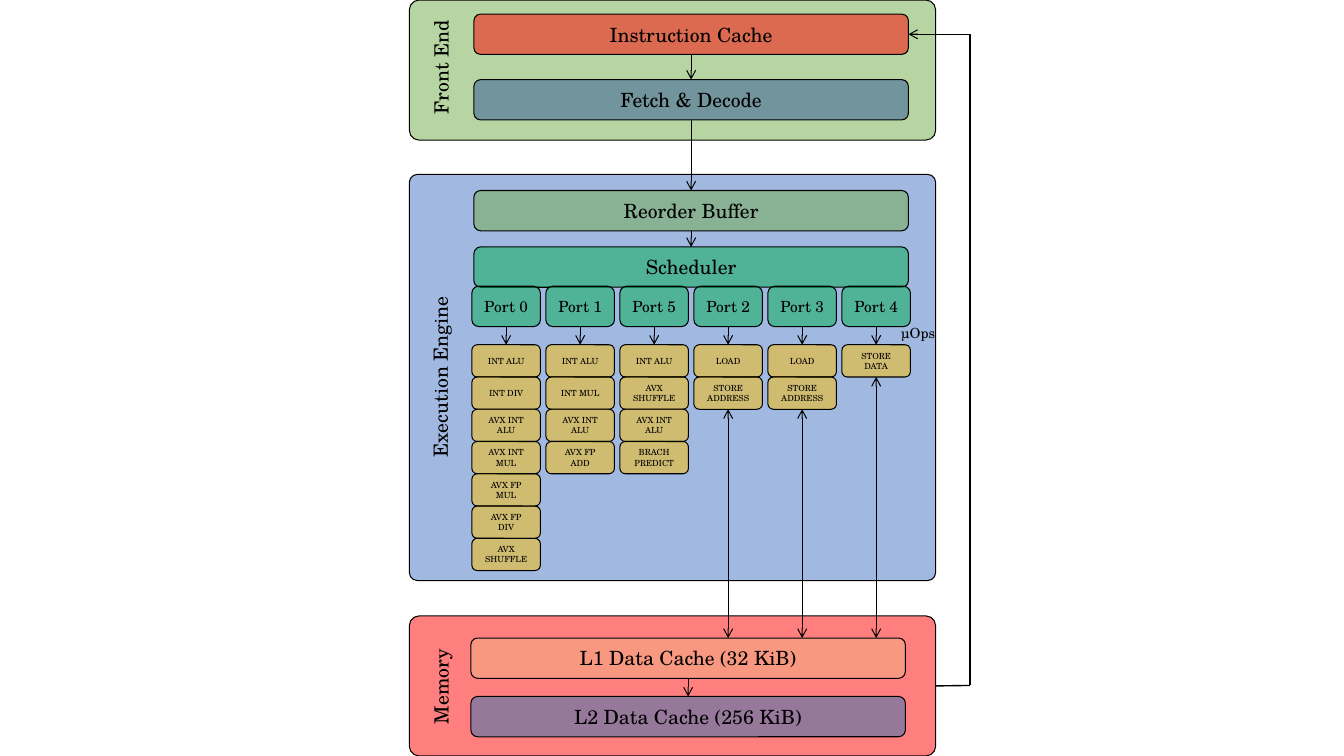
from dataclasses import dataclass

from pptx import Presentation
from pptx import util as u
from pptx.dml.color import RGBColor
from pptx.enum import shapes, text
from pptx.oxml import ns, xmlchemy


@dataclass(frozen=True)
class Theme:
    """Hold the colours, font and type sizes of the slide."""
    font: str = "TeX Gyre Schola"
    ink: str = "000000"
    green: str = "70AD47"
    blue: str = "4472C4"
    red: str = "FF0000"
    navy: str = "2F5597"
    jade: str = "00B050"
    gold: str = "FFC000"
    sand: str = "D0BB70"
    peach: str = "F4B183"
    steel: str = "2E75B6"
    big: float = 14
    port: float = 11
    note: float = 10
    unit: float = 6
    thin: float = 0.75
    bold: float = 1


THEME = Theme()
PORTS = {
    "Port 0": ["INT ALU", "INT DIV", "AVX INT ALU", "AVX INT MUL",
               "AVX FP MUL", "AVX FP DIV", "AVX SHUFFLE"],
    "Port 1": ["INT ALU", "INT MUL", "AVX INT ALU", "AVX FP ADD"],
    "Port 5": ["INT ALU", "AVX SHUFFLE", "AVX INT ALU", "BRACH PREDICT"],
    "Port 2": ["LOAD", "STORE ADDRESS"],
    "Port 3": ["LOAD", "STORE ADDRESS"],
    "Port 4": ["STORE DATA"],
}
MEMORY_PORTS = ("Port 2", "Port 3", "Port 4")


def write(shape, words, size, align=text.PP_ALIGN.CENTER):
    """Set and format the text of a shape."""
    frame = shape.text_frame
    frame.word_wrap = True
    frame.text = words
    line = frame.paragraphs[0]
    line.alignment = align
    font = line.runs[0].font
    font.name, font.size = THEME.font, u.Pt(size)
    font.color.rgb = RGBColor.from_string(THEME.ink)


def add_box(slide, place, color, words="", size=THEME.big, corner=None, alpha=50):
    """Add an outlined rounded box with a see-through fill."""
    box = slide.shapes.add_shape(shapes.MSO_SHAPE.ROUNDED_RECTANGLE, *map(u.Inches, place))
    box.shadow.inherit = False
    if corner is not None:
        box.adjustments[0] = corner
    box.fill.solid()
    box.fill.fore_color.rgb = RGBColor.from_string(color)
    if alpha < 100:
        tint = box._element.spPr.find(ns.qn("a:solidFill"))[0]
        tint.append(xmlchemy.OxmlElement("a:alpha"))
        tint[0].set("val", str(alpha * 1000))
    box.line.color.rgb = RGBColor.from_string(THEME.ink)
    box.line.width = u.Pt(THEME.thin)
    if words:
        write(box, words, size)
        box.text_frame.vertical_anchor = text.MSO_ANCHOR.MIDDLE
    return box


def add_line(slide, start, end, ends=(), width=THEME.thin):
    """Add a straight line with open arrows at the named ends."""
    line = slide.shapes.add_connector(
        shapes.MSO_CONNECTOR.STRAIGHT, *map(u.Inches, (*start, *end)))
    line.line.color.rgb = RGBColor.from_string(THEME.ink)
    line.line.width = u.Pt(width)
    for name in ends:
        arrow = xmlchemy.OxmlElement(f"a:{name}")
        arrow.set("type", "arrow")
        line.line._get_or_add_ln().append(arrow)
    line._element.spPr.append(xmlchemy.OxmlElement("a:effectLst"))
    return line


def add_drop(slide, upper, lower):
    """Join the bottom of one box to the top of the next."""
    line = add_line(slide, (0, 0), (0, 1), ["tailEnd"])
    line.begin_connect(upper, 2)
    line.end_connect(lower, 0)


def add_label(slide, place, words, size=THEME.big, turn=270, align=text.PP_ALIGN.CENTER):
    """Add a text box, turned upward by default."""
    label = slide.shapes.add_textbox(*map(u.Inches, place))
    label.rotation = turn
    write(label, words, size, align)


def add_port(slide, left, port, units):
    """Add a port with its stack of units and return the last unit."""
    head = add_box(slide, (left, 2.84, 0.68, 0.4), THEME.jade, port, THEME.port)
    stack = []
    for row, name in enumerate(units):
        solid = (port, name) == ("Port 3", "LOAD")
        color, alpha = (THEME.sand, 100) if solid else (THEME.gold, 50)
        place = (left, 3.42 + 0.32 * row, 0.68, 0.32)
        stack.append(add_box(slide, place, color, name, THEME.unit, alpha=alpha))
    add_drop(slide, head, stack[0])
    return stack[-1]


def add_return(slide, memory, cache):
    """Run the line from memory back to the instruction cache."""
    first = add_line(slide, (9.28, 6.8), (9.62, 6.8), width=THEME.bold)
    first.begin_connect(memory, 3)
    add_line(slide, (9.62, 6.8), (9.62, 0.34), width=THEME.bold)
    last = add_line(slide, (9.62, 0.34), (9.01, 0.34), ["tailEnd"])
    last.end_connect(cache, 3)


def main():
    """Build the processor diagram."""
    deck = Presentation()
    deck.slide_width, deck.slide_height = u.Inches(13.33), u.Inches(7.5)
    slide = deck.slides.add_slide(deck.slide_layouts[6])

    add_box(slide, (4.06, 0, 5.22, 1.39), THEME.green, corner=0.07)
    add_box(slide, (4.06, 1.73, 5.22, 4.03), THEME.blue, corner=0.02)
    memory = add_box(slide, (4.06, 6.11, 5.22, 1.39), THEME.red, corner=0.07)

    bars = [add_box(slide, (left, top, 4.31, 0.4), color, words)
            for left, top, color, words in (
                (4.7, 0.14, THEME.red, "Instruction Cache"),
                (4.7, 0.79, THEME.navy, "Fetch & Decode"),
                (4.7, 1.89, THEME.green, "Reorder Buffer"),
                (4.7, 2.45, THEME.jade, "Scheduler"),
                (4.67, 6.33, THEME.peach, "L1 Data Cache (32 KiB)"),
                (4.67, 6.91, THEME.steel, "L2 Data Cache (256 KiB)"))]
    for chain in (bars[:4], bars[4:]):
        for upper, lower in zip(chain, chain[1:]):
            add_drop(slide, upper, lower)

    step = (8.35 - 4.68) / (len(PORTS) - 1)
    for col, (port, units) in enumerate(PORTS.items()):
        left = 4.68 + step * col
        last = add_port(slide, left, port, units)
        if port in MEMORY_PORTS:
            mid = left + 0.34
            link = add_line(slide, (mid, 4), (mid, 6.33), ["headEnd", "tailEnd"])
            link.begin_connect(last, 2)

    add_return(slide, memory, bars[0])
    add_label(slide, (8.84, 3.17, 0.56, 0.27), "µOps", THEME.note, 0, text.PP_ALIGN.LEFT)
    add_label(slide, (3.44, 3.57, 1.86, 0.34), "Execution Engine")
    add_label(slide, (3.61, 0.5, 1.53, 0.34), "Front End")
    add_label(slide, (3.61, 6.64, 1.53, 0.34), "Memory")
    deck.save("out.pptx")


if __name__ == "__main__":
    main()
